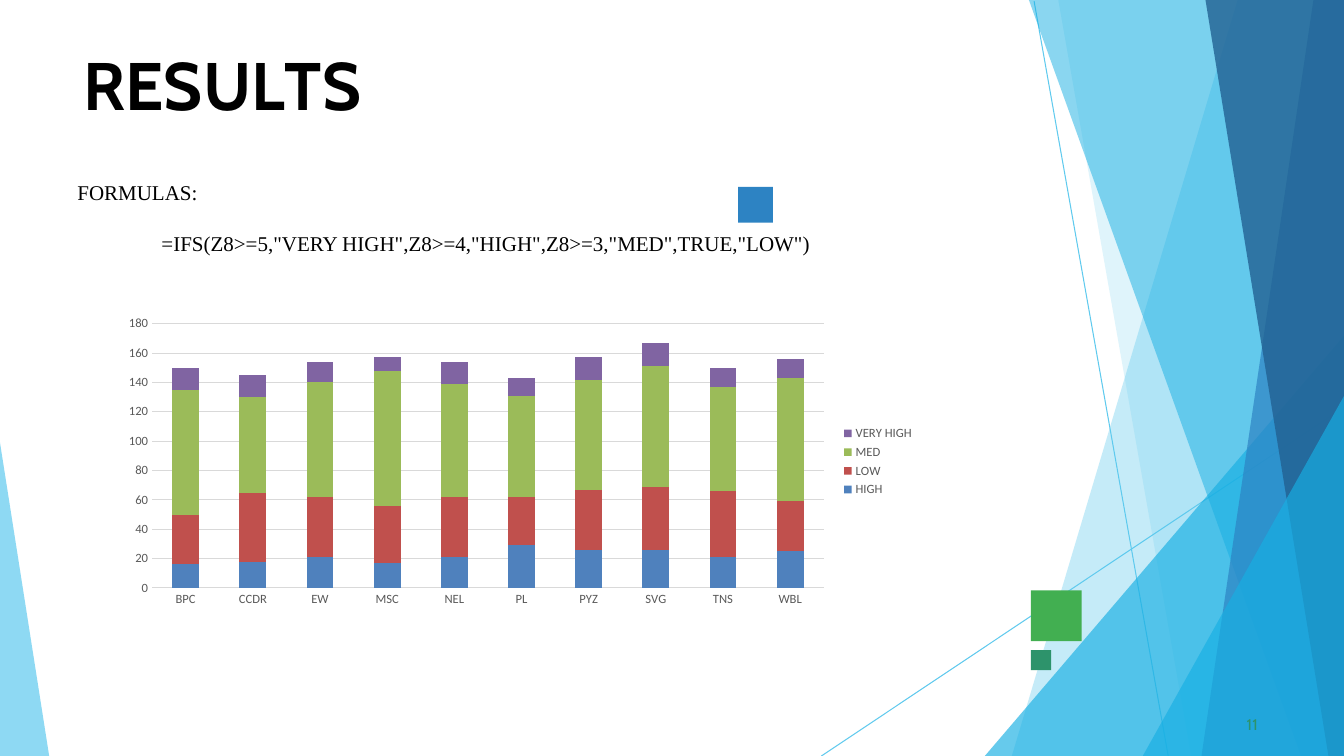
import pptx
import pptx.util
import pptx.chart.data
import pptx.dml.color
import pptx.enum.chart
import pptx.enum.shapes
import pptx.enum.text
import pptx.oxml
import pptx.oxml.ns

Cm, Pt = pptx.util.Cm, pptx.util.Pt
RGBColor = pptx.dml.color.RGBColor

SKY = RGBColor(0x5F, 0xCA, 0xEE)
CYAN = RGBColor(0x17, 0xAF, 0xE3)
BLUE = RGBColor(0x2D, 0x83, 0xC3)
NAVY = RGBColor(0x22, 0x61, 0x92)
GREEN = RGBColor(0x42, 0xAF, 0x51)
TEAL = RGBColor(0x2D, 0x93, 0x6B)
BLACK = RGBColor(0, 0, 0)
GRAY = RGBColor(0x59, 0x59, 0x59)
RULE = RGBColor(0xD9, 0xD9, 0xD9)
BARS = [RGBColor(0x4F, 0x81, 0xBD), RGBColor(0xC0, 0x50, 0x4D),
        RGBColor(0x9B, 0xBB, 0x59), RGBColor(0x80, 0x64, 0xA2)]

WIDE, HIGH = 33.87, 19.05

# top x, top y, foot x, colour, opacity in percent; each runs to the right edge
FACETS = [
    (31.19, 0, 25.5, SKY, 36),
    (26.67, 0, 30.02, SKY, 20),
    (WIDE, 8.46, 24.82, CYAN, 66),
    (25.93, 0, 32.79, CYAN, 50),
    (33.1, 0, 30.28, BLUE, 70),
    (30.38, 0, 33.48, NAVY, 80),
    (WIDE, 9.98, 28.8, CYAN, 66),
]
RAYS = [(26.06, 0.03, 29.44), (WIDE, 10.26, 20.7)]

TITLE = [("R", 0), ("E", -0.4), ("S", 0.1), ("U", -0.3), ("L", -4), ("TS", 0)]

CATS = ["BPC", "CCDR", "EW", "MSC", "NEL", "PL", "PYZ", "SVG", "TNS", "WBL"]
LEVELS = {
    "HIGH": [16, 18, 21, 17, 21, 29, 26, 26, 21, 25],
    "LOW": [34, 47, 41, 39, 41, 33, 41, 43, 45, 34],
    "MED": [85, 65, 78, 92, 77, 69, 75, 82, 71, 84],
    "VERY HIGH": [15, 15, 14, 9, 15, 12, 15, 16, 13, 13],
}


def paint(shape, color):
    shape.shadow.inherit = False
    shape.fill.solid()
    shape.fill.fore_color.rgb = color
    shape.line.fill.background()


def add_facet(slide, points, color, alpha):
    points = [(Cm(x), Cm(y)) for x, y in points]
    form = slide.shapes.build_freeform(*points[0])
    form.add_line_segments(points[1:], close=True)
    shape = form.convert_to_shape()
    paint(shape, color)
    tint = shape.fill._xPr.find(".//" + pptx.oxml.ns.qn("a:srgbClr"))
    tint.append(pptx.oxml.parse_xml(
        f'<a:alpha {pptx.oxml.ns.nsdecls("a")} val="{alpha * 1000}"/>'))


def add_backdrop(slide, box):
    left, top, width, height = box
    right, foot = left + width, top + height
    # Thin rays
    for x, y, end in RAYS:
        ray = slide.shapes.add_connector(
            pptx.enum.shapes.MSO_CONNECTOR.STRAIGHT,
            Cm(left + x), Cm(top + y), Cm(left + end), Cm(foot))
        ray.line.color.rgb = SKY
        ray.line.width = Pt(0.75)
        ray._element.spPr.append(pptx.oxml.parse_xml(
            f'<a:effectLst {pptx.oxml.ns.nsdecls("a")}/>'))
    # Clear facets on the right
    for x, y, end, color, alpha in FACETS:
        points = [(left + x, top + y), (left + end, foot), (right, foot)]
        if x < width:
            points.append((right, top + y))
        add_facet(slide, points, color, alpha)
    # Wedge on the left
    add_facet(slide, [(left, top + 11.15), (left, foot), (left + 1.24, foot)], SKY, 70)


def add_square(slide, box, color):
    shape = slide.shapes.add_shape(
        pptx.enum.shapes.MSO_SHAPE.RECTANGLE, *map(Cm, box))
    paint(shape, color)


def add_frame(slide, box):
    frame = slide.shapes.add_textbox(*map(Cm, box)).text_frame
    frame.word_wrap = True
    return frame


def trim(frame):
    frame.margin_left = frame.margin_right = frame.margin_bottom = 0
    frame.margin_top = Cm(0.03)


def style(run, name, size, color, gap=0):
    run.font.name = name
    run.font.size = Pt(size)
    run.font.color.rgb = color
    if gap:
        run.font._element.set("spc", str(round(gap * 100)))


def add_title(slide, box):
    frame = add_frame(slide, box)
    trim(frame)
    para = frame.paragraphs[0]
    para.space_before = Pt(1)
    for text, gap in TITLE:
        run = para.add_run()
        run.text = text
        run.font.bold = True
        style(run, "Cabin", 48, BLACK, gap)


def add_body(slide, box):
    frame = add_frame(slide, box)
    frame.text = ('FORMULAS:\n'
                  '=IFS(Z8>=5,"VERY HIGH",Z8>=4,"HIGH",Z8>=3,"MED",TRUE,"LOW")')
    for para in frame.paragraphs:
        style(para.runs[0], "Times New Roman", 15, BLACK)
    formula = frame.paragraphs[1]
    formula.space_before = Pt(19)
    formula._p.get_or_add_pPr().set("marL", str(Cm(2.12)))


def add_number(slide, box):
    frame = add_frame(slide, box)
    trim(frame)
    frame.margin_left = Cm(0.1)
    frame.word_wrap = False
    frame.text = "11"
    frame.paragraphs[0].space_before = Pt(0.6)
    style(frame.paragraphs[0].runs[0], "Cabin", 11, TEAL, 0.1)


def add_levels(slide, box):
    data = pptx.chart.data.CategoryChartData()
    data.categories = CATS
    for name, values in LEVELS.items():
        data.add_series(name, values)
    chart = slide.shapes.add_chart(
        pptx.enum.chart.XL_CHART_TYPE.COLUMN_STACKED, *map(Cm, box), data).chart
    chart.has_title = False
    chart.font.size = Pt(10)
    chart.font.color.rgb = BLACK
    # Bars
    plot = chart.plots[0]
    plot.gap_width, plot.overlap = 150, 100
    plot.vary_by_categories = False
    for series, color in zip(plot.series, BARS):
        series.format.fill.solid()
        series.format.fill.fore_color.rgb = color
    # Axes and legend
    chart.has_legend = True
    chart.legend.position = pptx.enum.chart.XL_LEGEND_POSITION.RIGHT
    chart.legend.include_in_layout = False
    cat, val = chart.category_axis, chart.value_axis
    for font in (cat.tick_labels.font, val.tick_labels.font, chart.legend.font):
        font.size = Pt(9)
        font.color.rgb = GRAY
    for axis in (cat, val):
        axis.major_tick_mark = pptx.enum.chart.XL_TICK_MARK.NONE
    val.minimum_scale, val.maximum_scale, val.major_unit = 0, 180, 20
    val.format.line.fill.background()
    for line in (cat.format.line, val.major_gridlines.format.line):
        line.color.rgb = RULE
        line.width = Pt(0.75)


def main():
    deck = pptx.Presentation()
    deck.slide_width, deck.slide_height = Cm(WIDE), Cm(HIGH)
    slide = deck.slides.add_slide(deck.slide_layouts[6])
    add_backdrop(slide, (0, 0, WIDE, HIGH))
    add_square(slide, (25.98, 14.88, 1.28, 1.28), GREEN)
    add_square(slide, (18.6, 4.71, 0.88, 0.9), BLUE)
    add_square(slide, (25.98, 16.38, 0.51, 0.51), TEAL)
    add_title(slide, (2.11, 1.07, 29.67, 2.06))
    add_body(slide, (1.7, 4.39, 30.48, 2.18))
    add_number(slide, (31.32, 17.98, 0.64, 0.46))
    add_levels(slide, (2.84, 7.82, 20.45, 7.62))
    deck.save("out.pptx")


if __name__ == "__main__":
    main()
